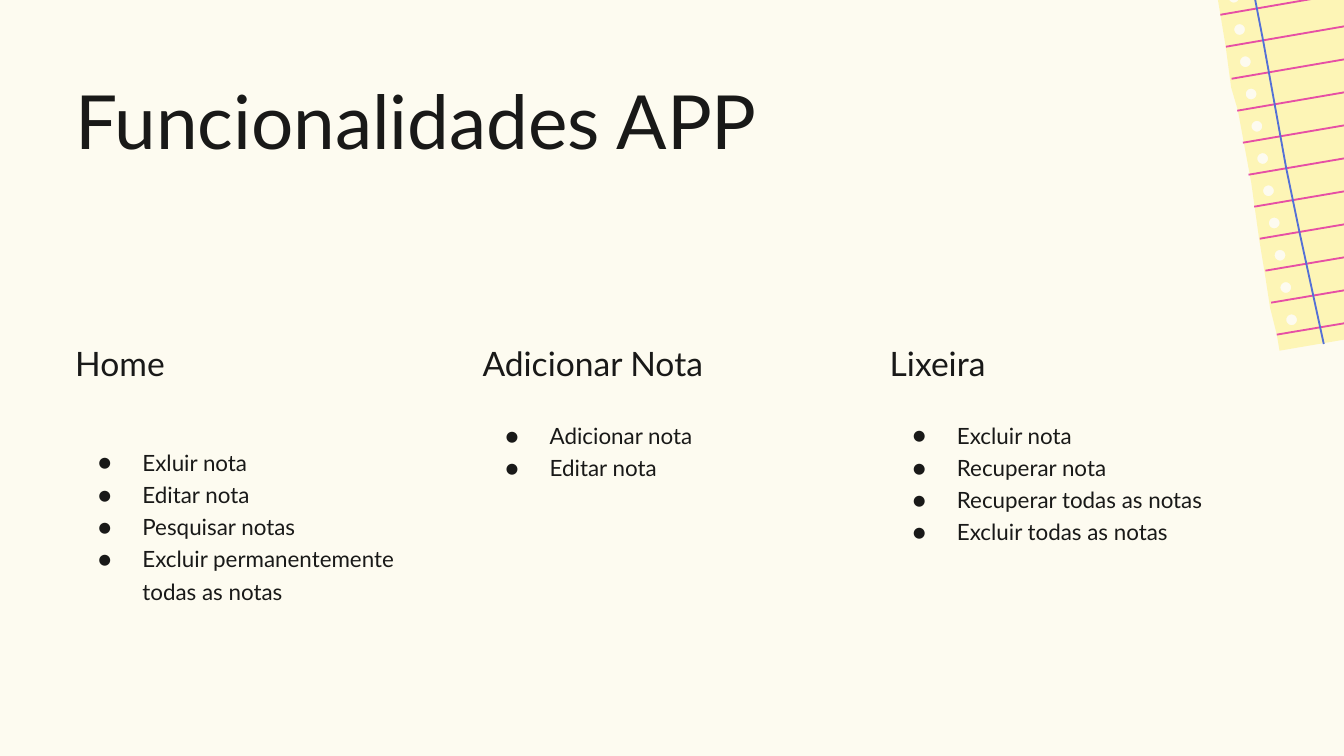
from math import cos, pi, sin

from lxml.etree import SubElement
from pptx import Presentation
from pptx.dml.color import RGBColor
from pptx.enum.shapes import MSO_CONNECTOR as CONNECTOR
from pptx.enum.text import MSO_AUTO_SIZE as AUTO_SIZE
from pptx.oxml.ns import qn
from pptx.util import Inches, Pt

CREAM = RGBColor(0xFD, 0xFB, 0xF0)
INK = RGBColor(0x19, 0x19, 0x18)
PAPER = RGBColor(0xFD, 0xF5, 0xB6)
PINK = RGBColor(0xE6, 0x4F, 0xA5)
BLUE = RGBColor(0x54, 0x70, 0xD6)
FONT = "Lato"

LEFT, COLUMN_STEP, COLUMN_WIDTH = 0.56, 3.03, 2.81
LINE_HEIGHT = 0.24
ROWS = 11

# heading, top of the list, list items
COLUMNS = [
    ("Home", 3.3, ["Exluir nota", "Editar nota", "Pesquisar notas",
                   "Excluir permanentemente todas as notas"]),
    ("Adicionar Nota", 3.1, ["Adicionar nota", "Editar nota"]),
    ("Lixeira", 3.1, ["Excluir nota", "Recuperar nota",
                      "Recuperar todas as notas", "Excluir todas as notas"]),
]

SHEET_EDGE = [
    (9.02, -0.25), (9.12, 0.35), (9.16, 0.65), (9.21, 0.82), (9.31, 1.36),
    (9.37, 1.79), (9.41, 2.03), (9.45, 2.29), (9.5, 2.49), (9.52, 2.61),
    (9.99, 2.53), (10.99, 2.34), (11.26, 2.3), (11.62, 2.23), (11.64, 2.13),
    (11.54, 1.64), (11.4, 0.93), (11.06, -0.65), (10.43, -0.53),
    (9.78, -0.4),
]
MARGIN_LINE = [(9.29, -0.31), (9.34, 0), (9.4, 0.31), (9.57, 1.25),
               (9.67, 1.73), (9.85, 2.56)]


def add_text(slide, left, top, width, height, lines, size):
    box = slide.shapes.add_textbox(Inches(left), Inches(top),
                                   Inches(width), Inches(height))
    tf = box.text_frame
    tf.word_wrap = True
    tf.auto_size = AUTO_SIZE.SHAPE_TO_FIT_TEXT
    tf.margin_left = tf.margin_right = tf.margin_top = tf.margin_bottom = 0
    tf.text = "\n".join(lines)
    for p in tf.paragraphs:
        for r in p.runs:
            r.font.name = FONT
            r.font.size = Pt(size)
            r.font.color.rgb = INK
    return tf


def add_bullet(p):
    p.line_spacing = 1.2
    pPr = p._p.get_or_add_pPr()
    pPr.set("marL", str(Inches(0.5)))
    pPr.set("indent", str(Inches(-0.33)))
    color = SubElement(pPr, qn("a:buClr"))
    SubElement(color, qn("a:srgbClr"), val=str(INK))
    SubElement(pPr, qn("a:buFont"), typeface=FONT)
    SubElement(pPr, qn("a:buChar"), char="●")


def add_column(slide, left, heading, list_top, items):
    add_text(slide, left, 2.55, COLUMN_WIDTH, 0.3, [heading], 18)
    tf = add_text(slide, left, list_top, COLUMN_WIDTH,
                  LINE_HEIGHT * len(items), items, 12)
    for p in tf.paragraphs:
        add_bullet(p)


def to_emu(points):
    return [(Inches(x), Inches(y)) for x, y in points]


def circle(x, y, radius, sides=20):
    angles = [2 * pi * i / sides for i in range(sides)]
    return [(x + radius * cos(a), y + radius * sin(a)) for a in angles]


def add_outline(slide, contours, close=True):
    """Add one freeform; contours after the first are holes in it."""
    first, *holes = [to_emu(c) for c in contours]
    builder = slide.shapes.build_freeform(*first[0])
    builder.add_line_segments(first[1:], close=close)
    for hole in holes:
        builder.move_to(*hole[0])
        builder.add_line_segments(hole[1:], close=True)
    s = builder.convert_to_shape()
    s.shadow.inherit = False
    return s


def add_rule(slide, start, end):
    (x1, y1), (x2, y2) = to_emu([start, end])
    line = slide.shapes.add_connector(CONNECTOR.STRAIGHT, x1, y1, x2, y2)
    line.line.color.rgb = PINK
    line.line.width = Pt(1)
    SubElement(line._element.spPr, qn("a:effectLst"))


def add_notepaper(slide):
    holes = [circle(9.18 + 0.043 * i, -0.02 + 0.24 * i, 0.04)
             for i in range(ROWS)]
    sheet = add_outline(slide, [SHEET_EDGE] + holes)
    sheet.fill.solid()
    sheet.fill.fore_color.rgb = PAPER
    sheet.line.fill.background()

    for i in range(ROWS):
        y = 0.238 * i
        add_rule(slide, (9.08 + 0.042 * i, 0.11 + y),
                 (11.16 + 0.048 * i, -0.25 + y))

    margin = add_outline(slide, [MARGIN_LINE], close=False)
    margin.fill.background()
    margin.line.color.rgb = BLUE
    margin.line.width = Pt(1)


def main():
    prs = Presentation()
    prs.slide_width = Inches(10)
    prs.slide_height = prs.slide_width * 9 // 16
    slide = prs.slides.add_slide(prs.slide_layouts[6])
    slide.background.fill.solid()
    slide.background.fill.fore_color.rgb = CREAM

    add_text(slide, LEFT, 0.56, 8.27, 0.67, ["Funcionalidades APP"], 40)
    for i, (heading, list_top, items) in enumerate(COLUMNS):
        add_column(slide, LEFT + COLUMN_STEP * i, heading, list_top, items)
    add_notepaper(slide)
    prs.save("out.pptx")


if __name__ == "__main__":
    main()
